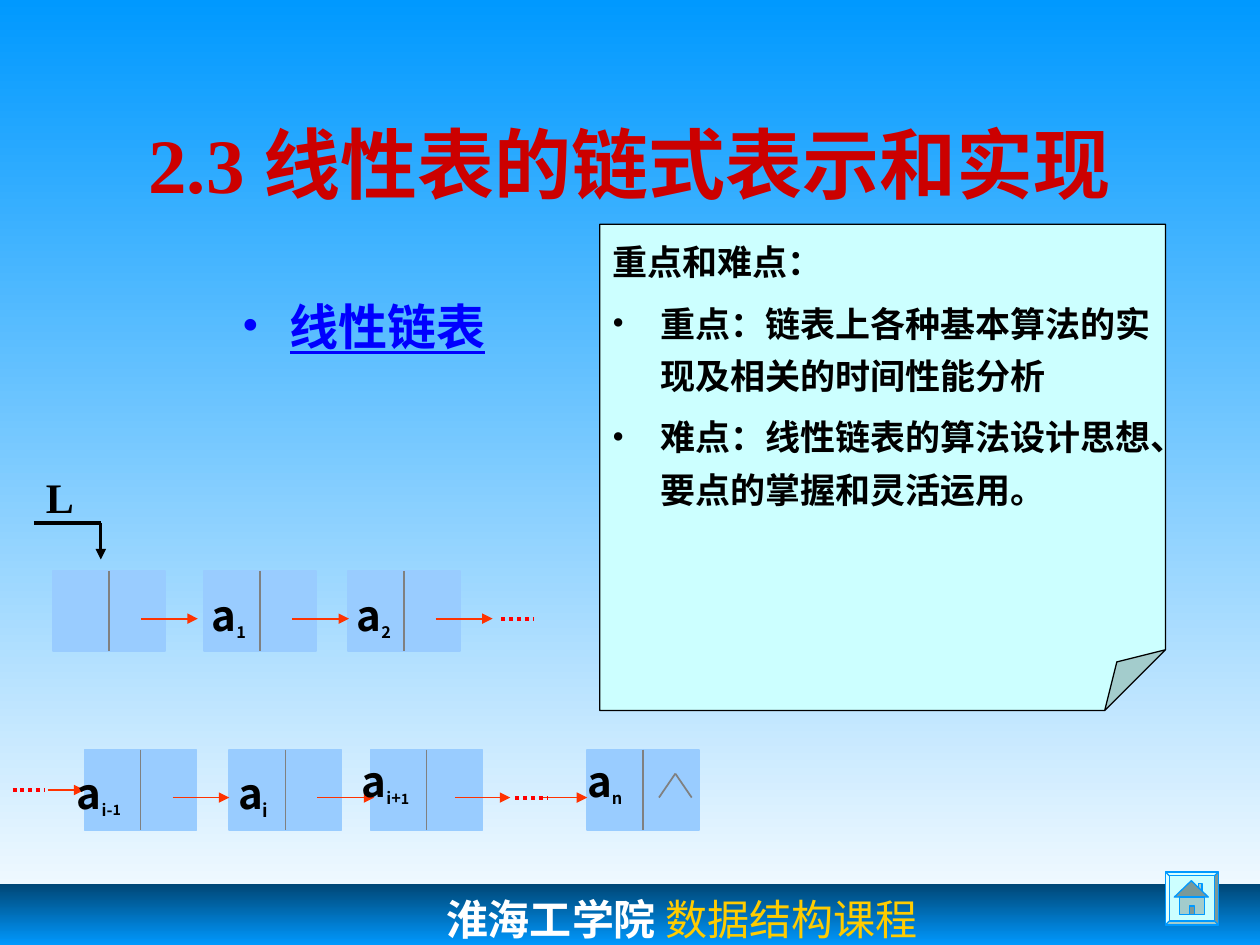
import copy
import lxml.etree
import pptx
import pptx.util
import pptx.dml.color
import pptx.enum.dml
import pptx.enum.shapes
import pptx.enum.text
import pptx.oxml.ns

SHAPE = pptx.enum.shapes.MSO_SHAPE
ALIGN = pptx.enum.text.PP_ALIGN
ANCHOR = pptx.enum.text.MSO_ANCHOR
STRAIGHT = pptx.enum.shapes.MSO_CONNECTOR.STRAIGHT
DOTS = pptx.enum.dml.MSO_LINE.ROUND_DOT
TIMES, SANS = "Times New Roman", "Noto Sans CJK SC"
qn = pptx.oxml.ns.qn
rgb = pptx.dml.color.RGBColor.from_string


def write(tf, runs, color="000000", font=SANS, bold=True, underline=False,
          align=ALIGN.LEFT, hanging=0, bullet=None, spacing=1.0, before=0):
    p = tf.paragraphs[0]
    if p.runs:
        p = tf.add_paragraph()
    pPr = p._p.get_or_add_pPr()
    if hanging:
        pPr.set("marL", str(hanging))
        pPr.set("indent", str(-hanging))
    if bullet:
        clr = lxml.etree.SubElement(pPr, qn("a:buClr"))
        lxml.etree.SubElement(clr, qn("a:srgbClr")).set("val", color)
        lxml.etree.SubElement(pPr, qn("a:buFont")).set("typeface", TIMES)
        lxml.etree.SubElement(pPr, qn("a:buChar")).set("char", bullet)
    p.alignment = align
    p.line_spacing = spacing
    p.space_before = pptx.util.Pt(before)
    for i, (text, size) in enumerate(runs):
        r = p.add_run()
        r.text = text
        r.font.size = pptx.util.Pt(size)
        r.font.name = font
        r.font.bold = bold
        r.font.underline = underline
        r.font.color.rgb = rgb(color)
        lxml.etree.SubElement(r._r.get_or_add_rPr(), qn("a:ea")).set("typeface", SANS)
        if i and tf.word_wrap is False:
            r._r.get_or_add_rPr().set("baseline", "-25000")
    return p


prs = pptx.Presentation()
prs.slide_width = pptx.util.Inches(10)
prs.slide_height = pptx.util.Inches(7.5)
col = row = prs.slide_width // 100
s = prs.slides.add_slide(prs.slide_layouts[1])

footer = s.shapes.add_shape(SHAPE.RECTANGLE, 0, round(70.2 * row), 100 * col, round(9.7 * row))
footer.shadow.inherit = False
footer.line.fill.background()
for fill, colors in ((s.background.fill, ["0099FF", "FFFFFF"]),
                     (footer.fill, ["004776", "0099FF", "004776"])):
    fill.gradient()
    fill.gradient_angle = 270
    if len(colors) == 3:
        first = fill.gradient_stops[0]._gs
        first.addnext(copy.deepcopy(first))
    for i, (stop, color) in enumerate(zip(fill.gradient_stops, colors)):
        stop.color.rgb = rgb(color)
        stop.position = i / (len(colors) - 1)
tf = footer.text_frame
tf.vertical_anchor = ANCHOR.TOP
tf.margin_left = round(35.4 * col)
tf.margin_top = round(0.7 * row)
p = write(tf, [("淮海工学院", 24), (" 数据结构课程", 24)], color="FFFFFF")
r = p.runs[1]
r.font.bold = False
r.font.name = TIMES
r.font.color.rgb = rgb("FFCC00")

title, body = s.placeholders
for sp, box in ((title, (7.5, 6.7, 85, 12.5)), (body, (18.2, 21.6, 61.4, 44.9))):
    sp.left, sp.top, sp.width, sp.height = [round(v * col) for v in box]
    sp.text_frame.word_wrap = True
    sp.text_frame.auto_size = pptx.enum.text.MSO_AUTO_SIZE.NONE
title.text_frame.vertical_anchor = ANCHOR.MIDDLE
write(title.text_frame, [("2.3 线性表的链式表示和实现", 44)], color="CC0000", font=TIMES, align=ALIGN.CENTER)
hang = round(3.8 * col)
write(body.text_frame, [("线性链表", 28)], color="0000FF", font=TIMES, underline=True,
      hanging=hang, bullet="•", spacing=1.3)

node_w, node_h = 8.9, 6.4
top_y, low_y = 45.3, 59.5
nodes = [(x, top_y) for x in (4.2, 16.2, 27.6)] + [(x, low_y) for x in (6.7, 18.2, 29.4, 46.6)]
blocks = [(SHAPE.FOLDED_CORNER, (47.6, 17.8, 44.9, 38.6), "CCFFFF", "000000", 0.75),
          (SHAPE.BEVEL, (92.5, 69.2, 4.2, 4.2), "CCFFFF", "0099FF", 0.75),
          (SHAPE.RECTANGLE, (95.1, 70.1, 0.3, 0.9), "A3CCCC", "0099FF", 0.75),
          (SHAPE.ISOSCELES_TRIANGLE, (93.2, 69.9, 2.7, 1.3), "7A9999", "0099FF", 0.75),
          (SHAPE.RECTANGLE, (93.6, 71.2, 2, 1.4), "A3CCCC", "0099FF", 0.75),
          (SHAPE.RECTANGLE, (94.4, 71.9, 0.4, 0.7), "7A9999", "0099FF", 0.75)]
blocks += [(SHAPE.RECTANGLE, (x, y, node_w, node_h), "99CCFF", "99CCFF", 1) for x, y in nodes]
drawn = []
for kind, box, color, edge, width in blocks:
    sp = s.shapes.add_shape(kind, *[round(v * col) for v in box])
    sp.shadow.inherit = False
    sp.fill.solid()
    sp.fill.fore_color.rgb = rgb(color)
    sp.line.color.rgb = rgb(edge)
    sp.line.width = pptx.util.Pt(width)
    drawn.append(sp)
note, button = drawn[:2]
for sp, share in ((note, 12500), (button, 7000)):
    guides = sp._element.spPr.find(qn("a:prstGeom")).find(qn("a:avLst"))
    guides.clear()
    guide = lxml.etree.SubElement(guides, qn("a:gd"))
    guide.set("name", "adj")
    guide.set("fmla", f"val {share}")

tf = note.text_frame
tf.word_wrap = True
tf.vertical_anchor = ANCHOR.TOP
write(tf, [("重点和难点：", 20)], hanging=hang, spacing=1.25)
for text in ("重点：链表上各种基本算法的实现及相关的时间性能分析",
             "难点：线性链表的算法设计思想、要点的掌握和灵活运用。"):
    write(tf, [(text, 20)], font=TIMES, hanging=hang, bullet="•", spacing=1.25, before=5)

link_top, link_low, low_mid = top_y + 3.8, low_y + 3.8, low_y + node_h / 2
lines = [(x + node_w / 2, y, x + node_w / 2, y + node_h, "808080", 1, None) for x, y in nodes]
lines += [(x + 7, y + 3.8, x + 11.5, y + 3.8, "FF3300", 1, "arrow") for x, y in nodes[:5]]
lines += [(36.1, link_low, 40.5, link_low, "FF3300", 1, "arrow"),
          (42.8, link_low, 46.6, link_low, "FF3300", 1, "arrow"),
          (39.8, link_top, 42.3, link_top, "FF0000", 2.25, "dots"),
          (40.9, link_low, 43.4, link_low, "FF0000", 2.25, "dots"),
          (1, low_mid, 3.5, low_mid, "FF0000", 2.25, "dots"),
          (53.6, 61.4, 54.9, link_low, "808080", 1, None),
          (53.6, 61.4, 52.3, link_low, "808080", 1, None),
          (2.7, 41.5, 8, 41.5, "000000", 2.25, None),
          (8, 41.5, 8, 44.4, "000000", 1.5, "arrow"),
          (3.8, low_mid, 6.7, low_mid, "FF3300", 1, "arrow")]
for x1, y1, x2, y2, color, width, style in lines:
    link = s.shapes.add_connector(STRAIGHT, *[round(v * col) for v in (x1, y1, x2, y2)])
    link.line.color.rgb = rgb(color)
    link.line.width = pptx.util.Pt(width)
    if style == "dots":
        link.line.dash_style = DOTS
    if style == "arrow":
        lxml.etree.SubElement(link.line._get_or_add_ln(), qn("a:tailEnd")).set("type", "triangle")
    lxml.etree.SubElement(link._element.spPr, qn("a:effectLst"))
link.end_connect(drawn[len(blocks) - 4], 1)

labels = [(16.8, 46.3, 4.5, [("a", 24), ("1", 16)]),
          (28.3, 46.3, 4.7, [("a", 24), ("2", 16)]),
          (6.1, 60.4, 6.4, [("a", 24), ("i-", 16), ("1", 14)]),
          (18.9, 60.4, 5.2, [("a", 24), ("i", 18)]),
          (28.7, 59.5, 7.8, [("a", 24), ("i+", 16), ("1", 14)]),
          (46.6, 59.5, 6.3, [("a", 24), ("n", 16)])]
for x, y, w, runs in labels:
    tf = s.shapes.add_textbox(*[round(v * col) for v in (x, y, w, 5.2)]).text_frame
    tf.word_wrap = False
    tf.margin_left = tf.margin_right = 0
    write(tf, runs)

tf = s.shapes.add_textbox(*[round(v * col) for v in (2, 37.5, 5.5, 3.9)]).text_frame
tf.word_wrap = False
tf.vertical_anchor = ANCHOR.MIDDLE
write(tf, [("L", 24)], font=TIMES, align=ALIGN.CENTER)

prs.save("out.pptx")
